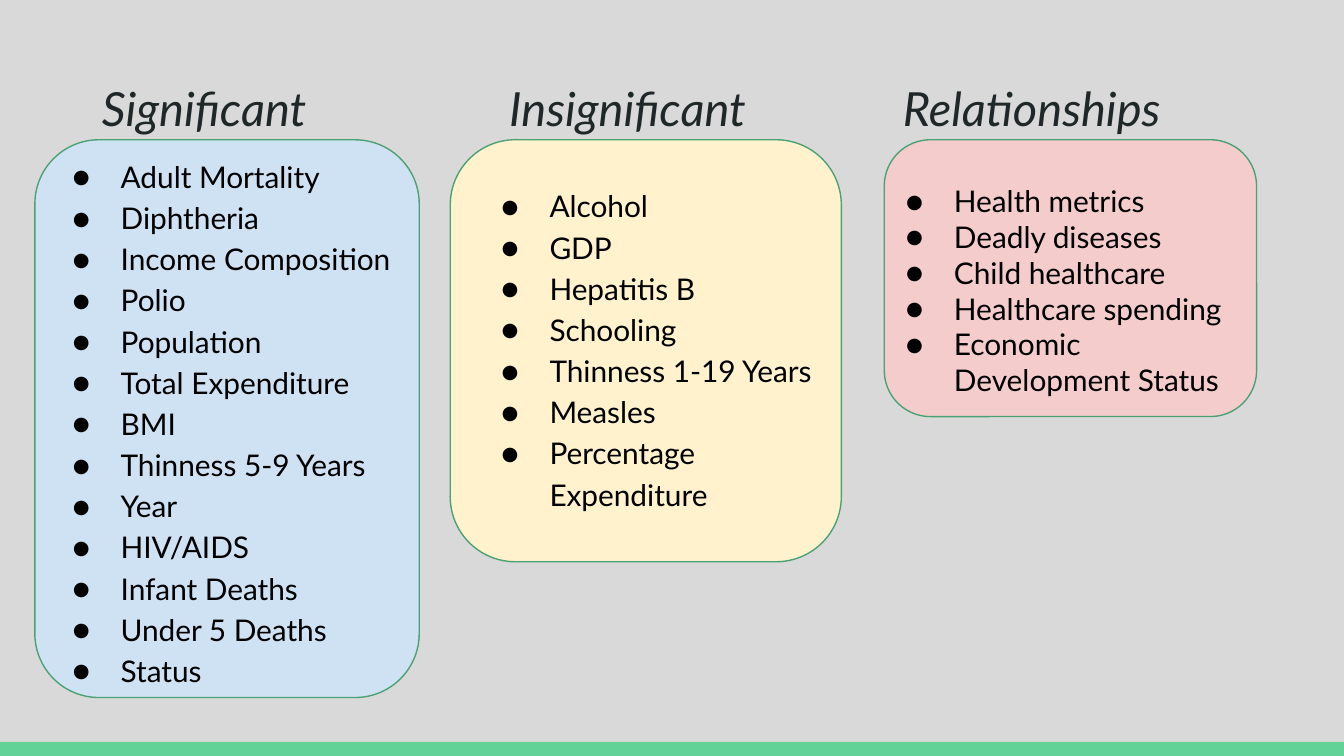
from lxml import etree
from pptx import Presentation
from pptx.dml.color import RGBColor
from pptx.enum.shapes import MSO_SHAPE
from pptx.oxml.ns import qn
from pptx.util import Inches, Pt

RECT = MSO_SHAPE.RECTANGLE
ROUND = MSO_SHAPE.ROUNDED_RECTANGLE

GREY = RGBColor(0xD9, 0xD9, 0xD9)
MINT = RGBColor(0x63, 0xD2, 0x97)
GREEN = RGBColor(0x4B, 0xA1, 0x73)
BLUE = RGBColor(0xCF, 0xE2, 0xF3)
CREAM = RGBColor(0xFF, 0xF2, 0xCC)
PINK = RGBColor(0xF4, 0xCC, 0xCC)
INK = RGBColor(0x20, 0x27, 0x29)
BLACK = RGBColor(0, 0, 0)

FONT = "Lato"
HEADS = ["Significant", "Insignificant", "Relationships"]
TABS = [3.03, 5.96]

# Card colour, card box, text box, line spacing, items
GROUPS = [
    (BLUE, (0.26, 1.04, 2.86, 4.15), (0.3, 1.04, 2.86, 4.15), 1.15,
     ["Adult Mortality", "Diphtheria", "Income Composition", "Polio",
      "Population", "Total Expenditure", "BMI", "Thinness 5-9 Years",
      "Year", "HIV/AIDS", "Infant Deaths", "Under 5 Deaths", "Status"]),
    (CREAM, (3.35, 1.04, 2.91, 3.14), (3.49, 1.26, 2.72, 2.64), 1.15,
     ["Alcohol", "GDP", "Hepatitis B", "Schooling", "Thinness 1-19 Years",
      "Measles", "Percentage Expenditure"]),
    (PINK, (6.58, 1.04, 2.77, 2.06), (6.5, 1.26, 2.86, 1.82), 1,
     ["Health metrics", "Deadly diseases", "Child healthcare",
      "Healthcare spending", "Economic Development Status"]),
]


def add_box(slide, kind, box, fill, line=None):
    shape = slide.shapes.add_shape(kind, *map(Inches, box))
    shape.shadow.inherit = False
    shape.fill.solid()
    shape.fill.fore_color.rgb = fill
    if line is None:
        shape.line.fill.background()
    else:
        shape.line.color.rgb = line
        shape.line.width = Pt(0.75)


def add_frame(slide, box):
    """Add a wrapping text box with equal insets and return its frame."""
    frame = slide.shapes.add_textbox(*map(Inches, box)).text_frame
    frame.word_wrap = True
    frame.margin_left = frame.margin_right = Inches(0.1)
    frame.margin_top = frame.margin_bottom = Inches(0.1)
    return frame


def set_font(para, size, color, italic=False):
    font = para.font
    font.name = FONT
    font.size = Pt(size)
    font.italic = italic
    font.color.rgb = color


def set_bullet(para):
    props = para._p.get_or_add_pPr()
    props.set("marL", str(Inches(0.5)))
    props.set("indent", str(Inches(-0.36)))
    tint = etree.SubElement(props, qn("a:buClr"))
    etree.SubElement(tint, qn("a:srgbClr"), val=str(BLACK))
    etree.SubElement(props, qn("a:buFont"), typeface=FONT)
    etree.SubElement(props, qn("a:buChar"), char="●")


def add_title(slide):
    """Set the three headings on one line, aligned by tab stops."""
    para = add_frame(slide, (0.66, 0.49, 8.91, 0.63)).paragraphs[0]
    para.text = "\t".join(HEADS)
    stops = etree.SubElement(para._p.get_or_add_pPr(), qn("a:tabLst"))
    for pos in TABS:
        etree.SubElement(stops, qn("a:tab"), pos=str(Inches(pos)), algn="l")
    set_font(para, 25.2, INK, italic=True)


def add_list(slide, box, space, items):
    frame = add_frame(slide, box)
    frame.text = "\n".join(items)
    for para in frame.paragraphs:
        para.line_spacing = float(space)
        set_bullet(para)
        set_font(para, 16, BLACK)


def main():
    deck = Presentation()
    deck.slide_width = Inches(10)
    deck.slide_height = Inches(10) * 9 // 16
    slide = deck.slides.add_slide(deck.slide_layouts[6])
    slide.background.fill.solid()
    slide.background.fill.fore_color.rgb = GREY

    add_box(slide, RECT, (0, 5.52, 10, 0.11), MINT)
    for fill, card, *_ in reversed(GROUPS):
        add_box(slide, ROUND, card, fill, GREEN)
    add_title(slide)
    for _, _, box, space, items in GROUPS:
        add_list(slide, box, space, items)
    deck.save("out.pptx")


if __name__ == "__main__":
    main()
